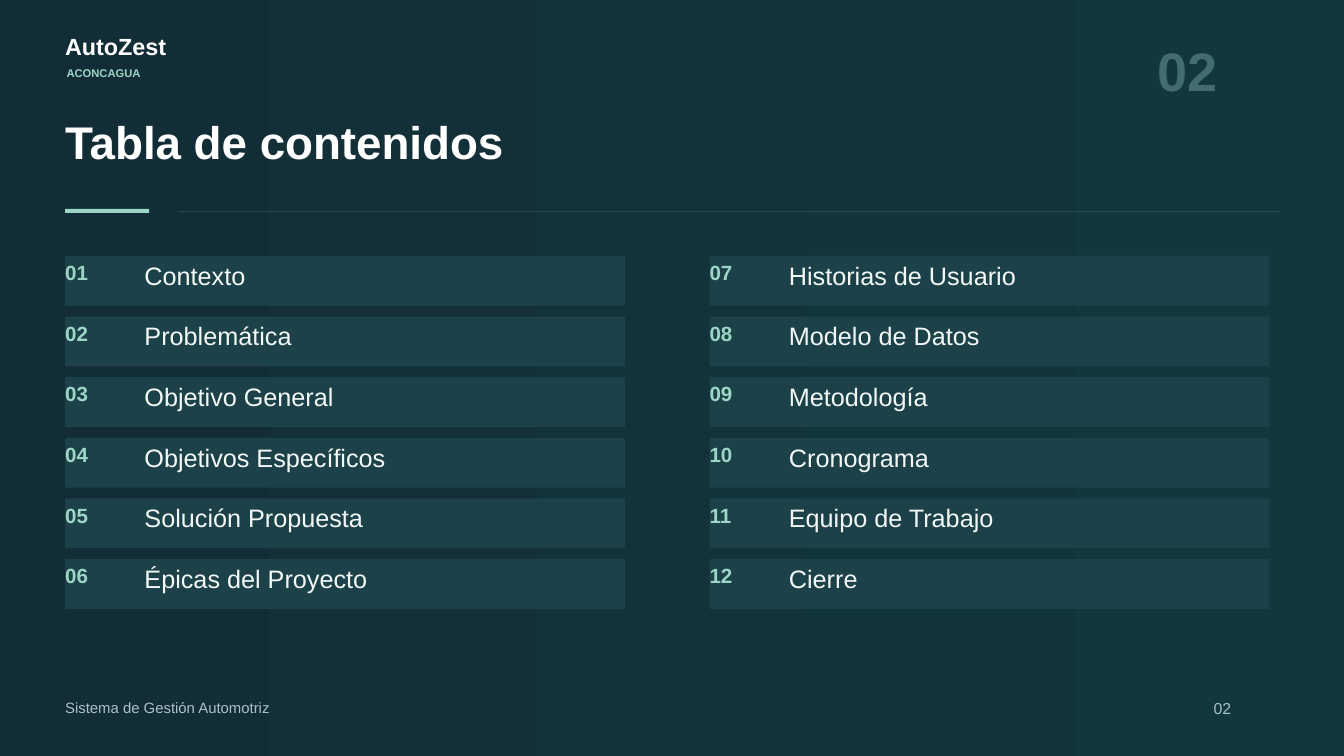
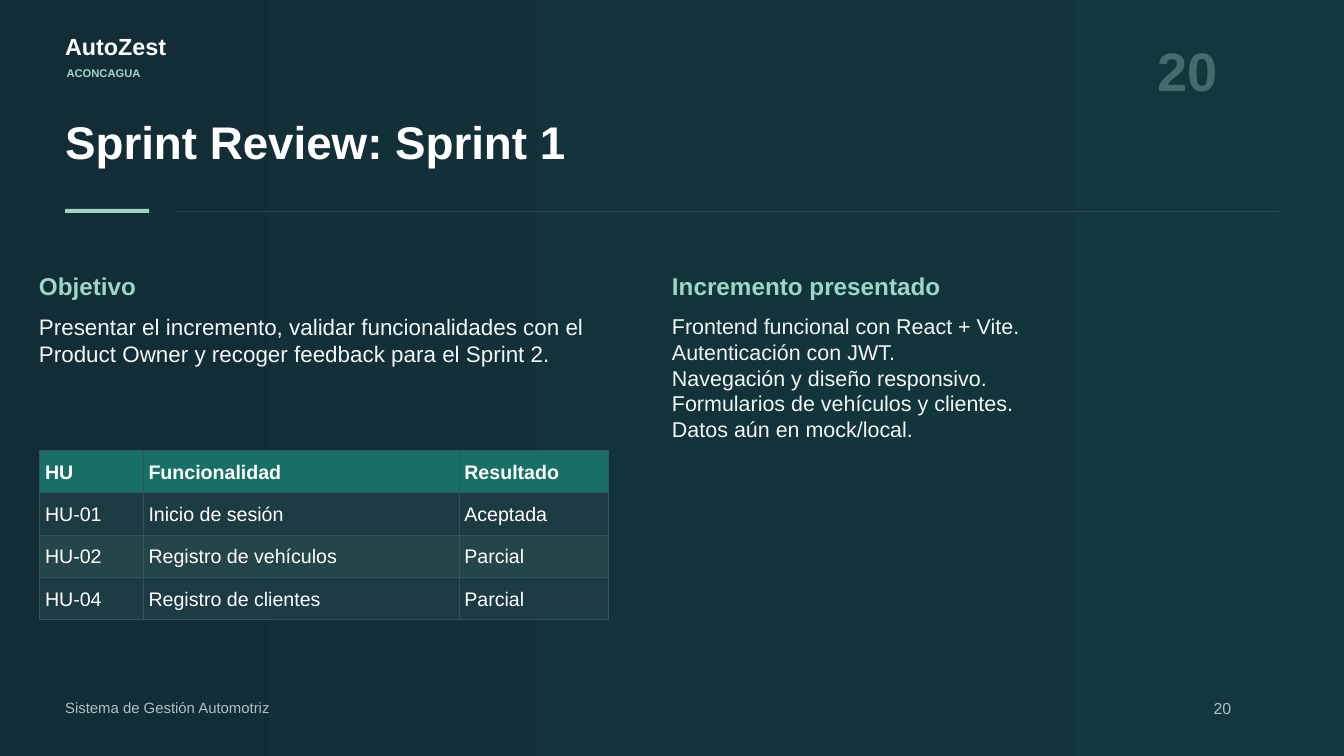
from lxml import etree
from pptx import Presentation
from pptx.dml.color import RGBColor
from pptx.enum.shapes import MSO_SHAPE
from pptx.enum.text import MSO_ANCHOR, MSO_AUTO_SIZE
from pptx.oxml.ns import qn
from pptx.util import Inches, Pt

RECT = MSO_SHAPE.RECTANGLE
MIDDLE = MSO_ANCHOR.MIDDLE
GROW = MSO_AUTO_SIZE.SHAPE_TO_FIT_TEXT

FONT = "Arial"
NIGHT, TEAL = "132D37", "12383D"
WHITE, PALE, MINT = "FFFFFF", "F2F8F6", "9CD6C6"
GHOST, GREY, RULE = "436C6E", "ABC2C6", "34545D"
BAR, HEAD, ODD, EVEN = "1D4148", "176F66", "1C3B43", "24464B"
LEFT, RIGHT = 0.97, 19.03

TOPICS = [
    "Contexto", "Problemática", "Objetivo General", "Objetivos Específicos",
    "Solución Propuesta", "Épicas del Proyecto", "Historias de Usuario",
    "Modelo de Datos", "Metodología", "Cronograma", "Equipo de Trabajo", "Cierre",
]
GOAL = [
    "Presentar el incremento, validar funcionalidades con el "
    "Product Owner y recoger feedback para el Sprint 2.",
]
GAINS = [
    "Frontend funcional con React + Vite.",
    "Autenticación con JWT.",
    "Navegación y diseño responsivo.",
    "Formularios de vehículos y clientes.",
    "Datos aún en mock/local.",
]
STORIES = [
    ("HU", "Funcionalidad", "Resultado"),
    ("HU-01", "Inicio de sesión", "Aceptada"),
    ("HU-02", "Registro de vehículos", "Parcial"),
    ("HU-04", "Registro de clientes", "Parcial"),
]


def color(code):
    return RGBColor.from_string(code)


def write(par, text, size, tint, bold=False):
    par.line_spacing = Pt(size * 1.2)
    run = par.add_run()
    run.text = text
    font = run.font
    font.name, font.size, font.bold = FONT, Pt(size), bold
    font.color.rgb = color(tint)


def add_text(slide, box, lines, size, tint, bold=False):
    frame = slide.shapes.add_textbox(*map(Inches, box)).text_frame
    frame.margin_left = frame.margin_right = 0
    frame.margin_top = frame.margin_bottom = 0
    frame.word_wrap = True
    frame.auto_size = GROW
    for i, line in enumerate(lines):
        par = frame.add_paragraph() if i else frame.paragraphs[0]
        write(par, line, size, tint, bold)


def add_bar(slide, box, tint):
    bar = slide.shapes.add_shape(RECT, *map(Inches, box))
    bar.shadow.inherit = False
    bar.fill.solid()
    bar.fill.fore_color.rgb = color(tint)
    bar.line.fill.background()


def add_frame(deck, title, number):
    slide = deck.slides.add_slide(deck.slide_layouts[6])
    fill = slide.background.fill
    fill.gradient()
    fill.gradient_angle = 0
    for stop, tint in zip(fill.gradient_stops, (NIGHT, TEAL)):
        stop.color.rgb = color(tint)
    width = RIGHT - LEFT
    add_text(slide, (LEFT, 0.48, 3.33, 0.48), ["AutoZest"], 25, WHITE, True)
    add_text(slide, (0.99, 0.98, 3.47, 0.33), ["ACONCAGUA"], 12, MINT, True)
    add_text(slide, (17.22, 0.55, 1.81, 1.05), [number], 58, GHOST, True)
    add_text(slide, (LEFT, 1.69, width, 1.41), [title], 49, WHITE, True)
    add_bar(slide, (LEFT, 3.11, 1.25, 0.06), MINT)
    add_bar(slide, (2.64, 3.14, RIGHT - 2.64, 0.01), RULE)
    add_text(slide, (18.06, 10.4, 0.97, 0.41), [number], 17, GREY)
    add_text(slide, (LEFT, 10.4, 8.33, 0.41),
             ["Sistema de Gestión Automotriz"], 16, GREY)
    return slide


def add_topic(slide, box, number, topic):
    x, y, wide, high = box
    add_bar(slide, box, BAR)
    add_text(slide, (x, y + 0.06, 0.9, 0.58), [f"{number:02}"], 22, MINT, True)
    add_text(slide, (x + 1.18, y + 0.06, wide - 1.32, 0.65), [topic], 27, PALE)


def add_index(slide, box):
    x, y, wide, high = box
    rows = len(TOPICS) // 2
    bar_wide, bar_high = 8.33, 0.74
    step = (high - bar_high) / (rows - 1)
    for i, topic in enumerate(TOPICS):
        col, row = divmod(i, rows)
        place = (x + col * (wide - bar_wide), y + row * step, bar_wide, bar_high)
        add_topic(slide, place, i + 1, topic)


def add_block(slide, box, title, lines, size):
    x, y, wide, high = box
    add_text(slide, (x, y, wide, 0.51), [title], 26, MINT, True)
    add_text(slide, (x, y + 0.62, wide, high - 0.62), lines, size, PALE)


def edge_cell(cell):
    props = cell._tc.get_or_add_tcPr()
    for i, side in enumerate(("lnL", "lnR", "lnT", "lnB")):
        line = etree.Element(qn(f"a:{side}"), w=str(Pt(0.75)))
        fill = etree.SubElement(line, qn("a:solidFill"))
        etree.SubElement(fill, qn("a:srgbClr"), val=RULE)
        props.insert(i, line)


def add_grid(slide, box, widths):
    rows = len(STORIES)
    table = slide.shapes.add_table(rows, len(widths), *map(Inches, box)).table
    for col, wide in zip(table.columns, widths):
        col.width = Inches(wide)
    for r, story in enumerate(STORIES):
        table.rows[r].height = Inches(box[3] / rows)
        tint = HEAD if r == 0 else ODD if r % 2 else EVEN
        for c, text in enumerate(story):
            cell = table.cell(r, c)
            cell.fill.solid()
            cell.fill.fore_color.rgb = color(tint)
            cell.vertical_anchor = MIDDLE
            cell.margin_left = cell.margin_right = Inches(0.08)
            cell.margin_top = cell.margin_bottom = Inches(0.08)
            write(cell.text_frame.paragraphs[0], text, 21, WHITE, r == 0)
            edge_cell(cell)


def add_contents(deck):
    slide = add_frame(deck, "Tabla de contenidos", "02")
    add_index(slide, (LEFT, 3.81, 17.92, 5.25))


def add_review(deck):
    slide = add_frame(deck, "Sprint Review: Sprint 1", "20")
    add_block(slide, (0.58, 4.04, 8.47, 1.91), "Objetivo", GOAL, 24)
    add_grid(slide, (0.59, 6.7, 8.46, 2.52), (1.54, 4.7, 2.22))
    add_block(slide, (10, 4.04, 8.47, 2.92), "Incremento presentado", GAINS, 23)


def main():
    deck = Presentation()
    deck.slide_width, deck.slide_height = Inches(20), Inches(11.25)
    add_contents(deck)
    add_review(deck)
    deck.save("out.pptx")


if __name__ == "__main__":
    main()
